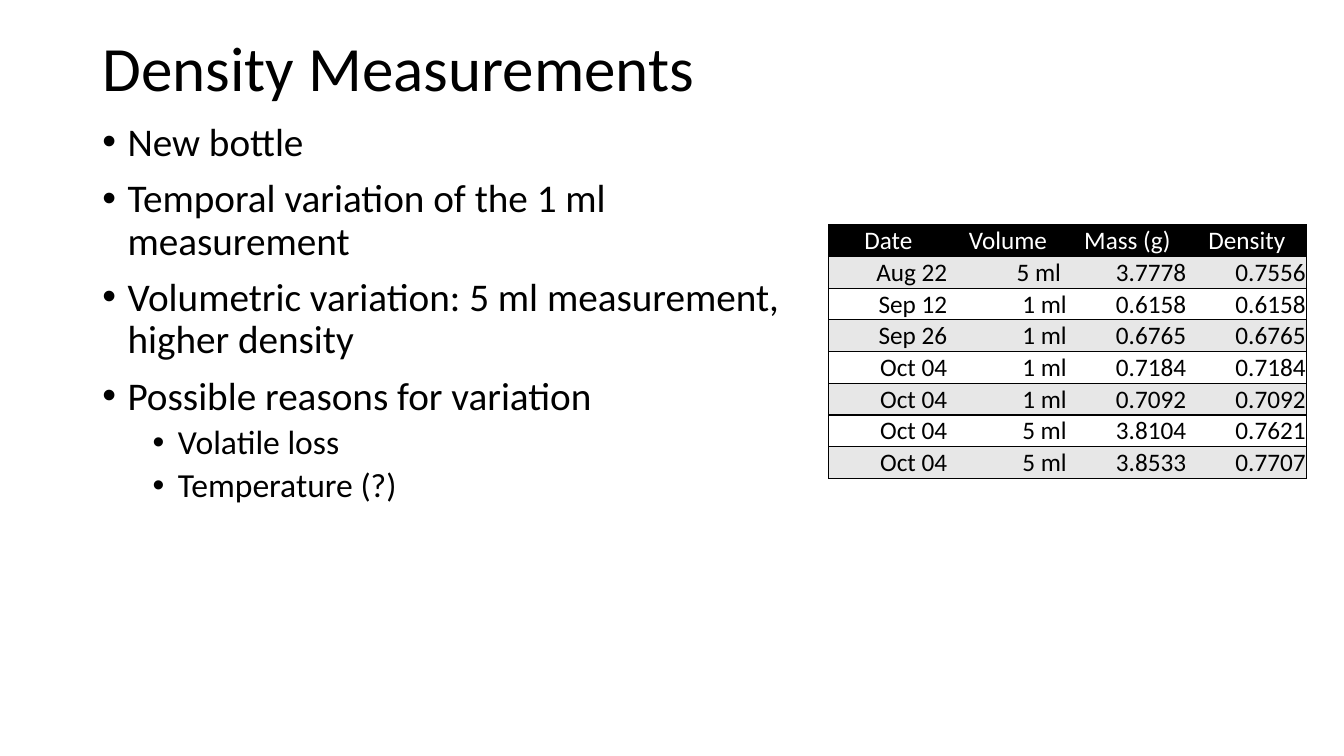
from dataclasses import dataclass
from pptx import Presentation
from pptx.dml.color import RGBColor
from pptx.enum.text import MSO_ANCHOR, PP_ALIGN
from pptx.oxml import parse_xml
from pptx.oxml.ns import nsdecls, qn
from pptx.util import Inches, Pt


@dataclass(frozen=True)
class Theme:
    font: str = "Calibri"
    ink: str = "000000"
    paper: str = "FFFFFF"
    band: str = "E7E7E7"
    title: int = 45
    levels: tuple = (28, 24)
    cell: int = 18
    rule: int = 1
    plain_table: str = "{2D5ABB26-0587-4C30-8999-92F81FD0307C}"


class SlideBuilder:
    """Draws on one slide, with lengths in cells of a 160 x 90 grid."""
    COLS, ROWS = 160, 90

    def __init__(self, prs, theme):
        self.theme = theme
        self.s = prs.slides.add_slide(prs.slide_layouts[6])
        self.col = prs.slide_width / self.COLS
        self.row = prs.slide_height / self.ROWS

    def box(self, x, y, w, h):
        return (int(x * self.col), int(y * self.row),
                int(w * self.col), int(h * self.row))

    def style(self, p, size, color):
        for r in p.runs:
            r.font.name = self.theme.font
            r.font.size = Pt(size)
            r.font.color.rgb = RGBColor.from_string(color)

    def text_frame(self, *place):
        tf = self.s.shapes.add_textbox(*self.box(*place)).text_frame
        tf.word_wrap = True
        return tf

    def title(self, text, *place):
        tf = self.text_frame(*place)
        tf.vertical_anchor = MSO_ANCHOR.BOTTOM
        p = tf.paragraphs[0]
        p.text = text
        p.line_spacing = 0.7
        self.style(p, self.theme.title, self.theme.ink)

    def bullets(self, items, *place):
        tf = self.text_frame(*place)
        for i, (level, text) in enumerate(items):
            p = tf.add_paragraph() if i else tf.paragraphs[0]
            p.text = text
            p.level = level
            p.line_spacing = 0.9
            p.space_before = Pt(5 if level else 10)
            self.style(p, self.theme.levels[level], self.theme.ink)
            # Hanging bullet
            pPr = p._p.get_or_add_pPr()
            pPr.set("marL", str(Inches(0.25 + 0.5 * level)))
            pPr.set("indent", str(Inches(-0.25)))
            pPr.append(parse_xml(f'<a:buFont {nsdecls("a")} typeface="Arial"/>'))
            pPr.append(parse_xml(f'<a:buChar {nsdecls("a")} char="•"/>'))

    def borders(self, cell, sides):
        tcPr = cell._tc.get_or_add_tcPr()
        for i, side in enumerate(sides):
            tcPr.insert(i, parse_xml(
                f'<a:ln{side} {nsdecls("a")} w="{Pt(self.theme.rule)}"><a:solidFill>'
                f'<a:srgbClr val="{self.theme.ink}"/></a:solidFill></a:ln{side}>'))

    def table(self, rows, *place):
        t = self.theme
        n_cols = len(rows[0])
        table = self.s.shapes.add_table(len(rows), n_cols, *self.box(*place)).table
        table._tbl.tblPr.find(qn("a:tableStyleId")).text = t.plain_table
        for i, row in enumerate(rows):
            fill = t.ink if i == 0 else t.band if i % 2 else t.paper
            for j, text in enumerate(row):
                cell = table.cell(i, j)
                cell.margin_left = cell.margin_right = cell.margin_top = Inches(0.01)
                cell.margin_bottom = 0
                cell.vertical_anchor = MSO_ANCHOR.BOTTOM
                cell.fill.solid()
                cell.fill.fore_color.rgb = RGBColor.from_string(fill)
                p = cell.text_frame.paragraphs[0]
                p.text = text
                p.alignment = PP_ALIGN.RIGHT if i else PP_ALIGN.CENTER
                self.style(p, t.cell, t.ink if i else t.paper)
                # Rules between rows, and a frame on the outer sides
                outer = {0: "L", n_cols - 1: "R"}.get(j, "")
                self.borders(cell, outer + "TB")


BULLETS = [
    (0, "New bottle"),
    (0, "Temporal variation of the 1 ml\nmeasurement"),
    (0, "Volumetric variation: 5 ml measurement,\nhigher density"),
    (0, "Possible reasons for variation"),
    (1, "Volatile loss"),
    (1, "Temperature (?)"),
]
MEASUREMENTS = [
    ("Date", "Volume", "Mass (g)", "Density"),
    ("Aug 22", "5 ml ", "3.7778", "0.7556"),
    ("Sep 12", "1 ml", "0.6158", "0.6158"),
    ("Sep 26", "1 ml", "0.6765", "0.6765"),
    ("Oct 04", "1 ml", "0.7184", "0.7184"),
    ("Oct 04", "1 ml", "0.7092", "0.7092"),
    ("Oct 04", " 5 ml", "3.8104", "0.7621"),
    ("Oct 04", "5 ml", "3.8533", "0.7707"),
]

prs = Presentation()
prs.slide_width, prs.slide_height = Inches(13.33), Inches(7.5)
slide = SlideBuilder(prs, Theme())

# Bullets on the left, heading above, measurements on the right
slide.bullets(BULLETS, 11, 14, 143, 67)
slide.title("Density Measurements", 11, 4.8, 138, 7.9)
slide.table(MEASUREMENTS, 98.65, 26.75, 56.9, 30.2)

prs.save("out.pptx")
